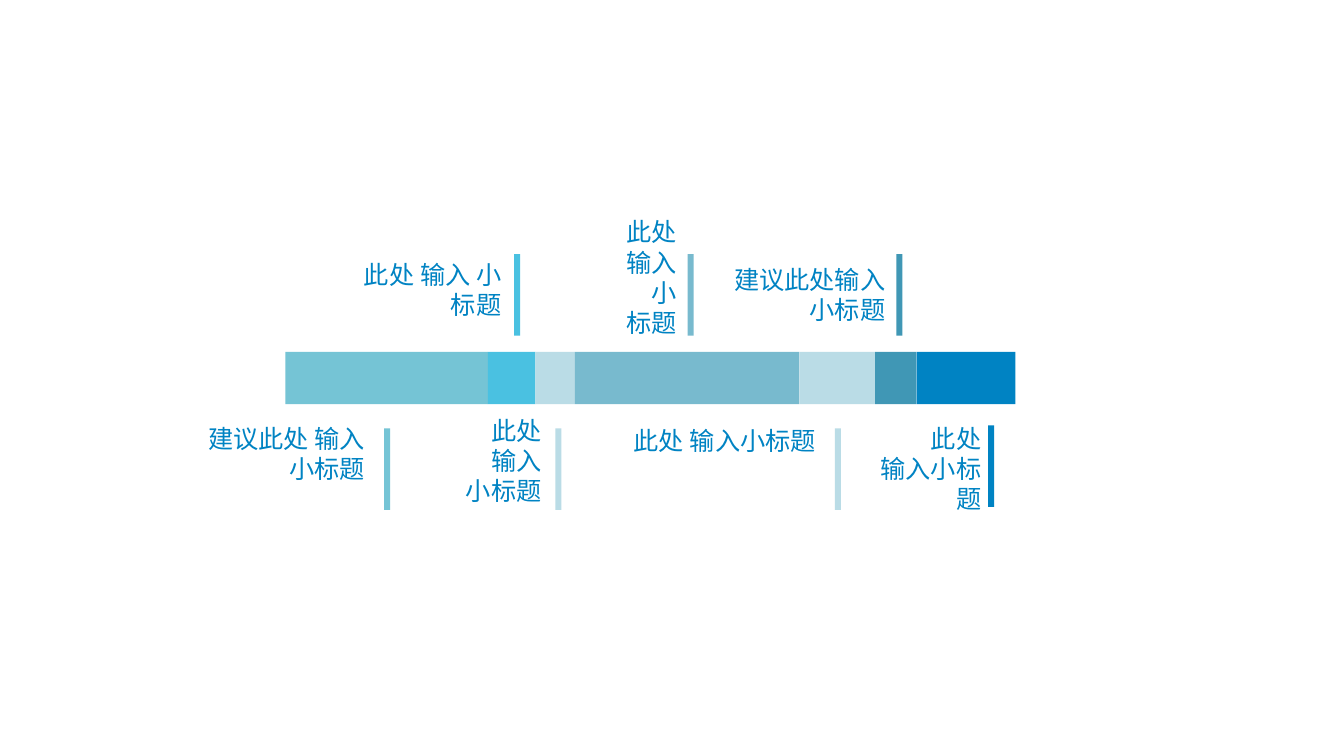
from lxml import etree
from pptx import Presentation, util as u
from pptx.dml.color import RGBColor
from pptx.enum import shapes, text
from pptx.oxml.ns import qn

PX = 9144
FONT = "Noto Sans CJK SC"
BLUE = "0083C3"
BAR_LEFT, BAR_TOP, BAR_H = 283, 349, 52
TICK_W, TICK_H = 6, 81

SEGMENTS = [
    {"width": 201, "color": "75C4D5", "tick": (381, 425),
     "label": (196, 415, 176, 71), "lines": ["建议此处 输入小标题"]},
    {"width": 47, "color": "4AC1E1", "tick": (510, 252),
     "label": (333, 252, 174, 71), "lines": ["此处 输入 小标题"]},
    {"width": 39, "color": "BADCE6", "tick": (551, 425),
     "label": (420, 407, 127, 101), "lines": ["此处", "输入", "小标题"]},
    {"width": 223, "color": "78BACE", "tick": (682, 252),
     "label": (565, 210, 116, 131), "lines": ["此处", "输入", "小", "标题"]},
    {"width": 75, "color": "BADCE6", "tick": (828, 425),
     "label": (612, 417, 207, 40), "lines": ["此处 输入小标题"]},
    {"width": 41, "color": "4097B5", "tick": (889, 252),
     "label": (681, 257, 207, 71), "lines": ["建议此处输入", "小标题"]},
    {"width": 98, "color": BLUE, "tick": (980, 422),
     "label": (851, 415, 132, 101), "lines": ["此处", "输入小标题"]},
]


def rgb(value):
    return RGBColor.from_string(value)


def add_rect(s, x, y, w, h, color):
    sp = s.shapes.add_shape(shapes.MSO_SHAPE.RECTANGLE, x * PX, y * PX, w * PX, h * PX)
    sp.shadow.inherit = False
    sp.fill.solid()
    sp.fill.fore_color.rgb = rgb(color)
    sp.line.fill.background()


def add_text(s, box, lines, size=18, color=BLUE, align=text.PP_ALIGN.RIGHT):
    tf = s.shapes.add_textbox(*(v * PX for v in box)).text_frame
    tf.word_wrap = True
    tf.auto_size = text.MSO_AUTO_SIZE.SHAPE_TO_FIT_TEXT
    for i, line in enumerate(lines):
        p = tf.paragraphs[0] if i == 0 else tf.add_paragraph()
        p.alignment = align
        r = p.add_run()
        r.text = line
        r.font.size = u.Pt(size)
        r.font.name = FONT
        r.font.color.rgb = rgb(color)
        ea = etree.SubElement(r.font._element, qn("a:ea"))
        ea.set("typeface", FONT)


prs = Presentation()
prs.slide_width, prs.slide_height = 1333 * PX, 750 * PX
s = prs.slides.add_slide(prs.slide_layouts[6])

x = BAR_LEFT
for segment in SEGMENTS:
    add_rect(s, x, BAR_TOP, segment["width"], BAR_H, segment["color"])
    add_rect(s, *segment["tick"], TICK_W, TICK_H, segment["color"])
    add_text(s, segment["label"], segment["lines"])
    x += segment["width"]

prs.save("out.pptx")
